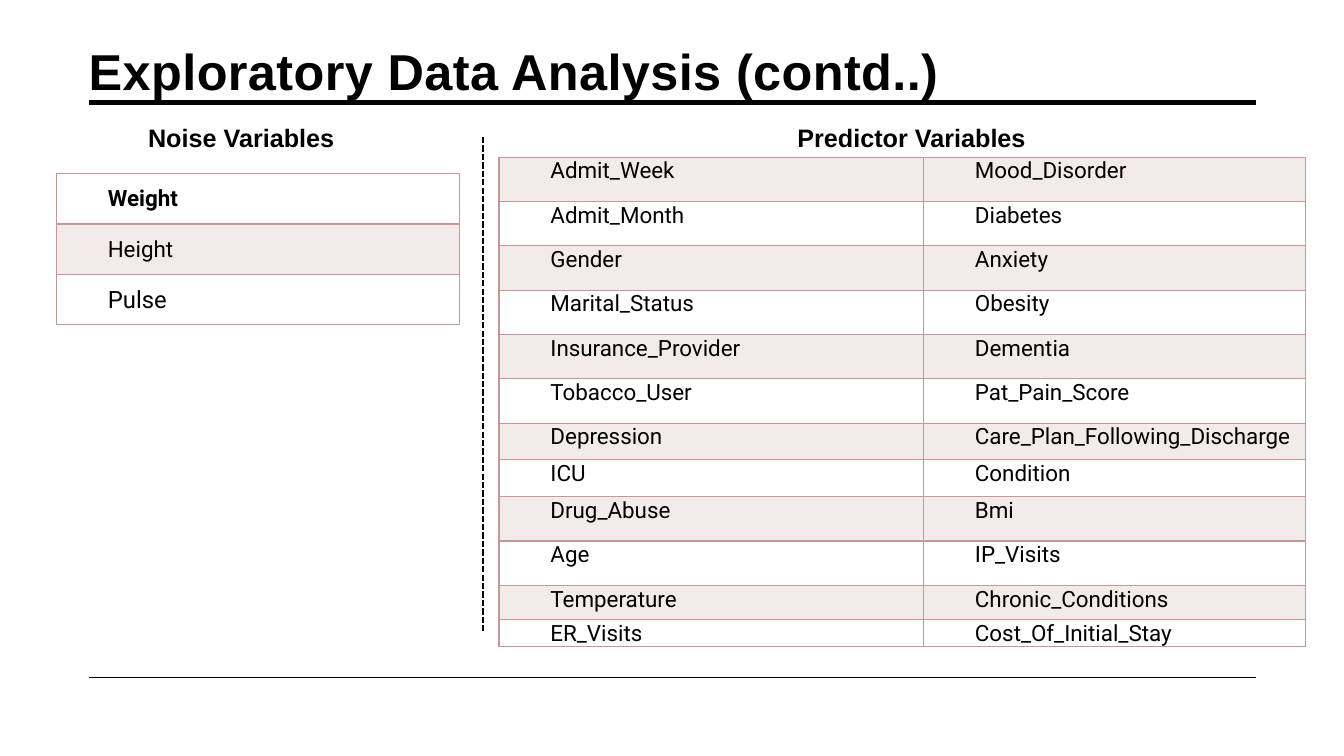
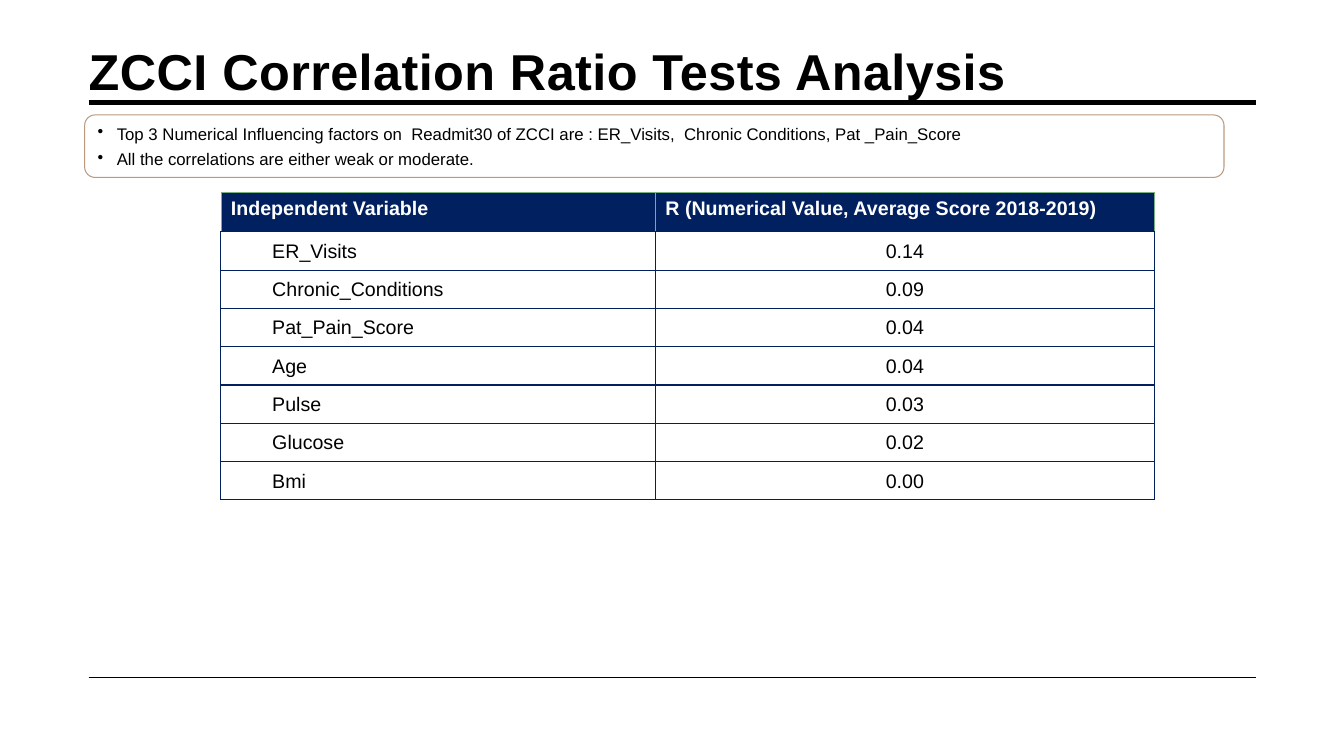
from lxml import etree
from pptx import Presentation
from pptx.dml.color import RGBColor
from pptx.enum.dml import MSO_LINE
from pptx.enum.shapes import MSO_CONNECTOR, MSO_SHAPE
from pptx.enum.text import MSO_ANCHOR, MSO_AUTO_SIZE, PP_ALIGN
from pptx.oxml.ns import qn
from pptx.util import Inches, Pt

STRAIGHT = MSO_CONNECTOR.STRAIGHT
ROUNDED = MSO_SHAPE.ROUNDED_RECTANGLE
DASH = MSO_LINE.SQUARE_DOT
TOP, MIDDLE, BOTTOM = MSO_ANCHOR.TOP, MSO_ANCHOR.MIDDLE, MSO_ANCHOR.BOTTOM
LEFT, CENTER = PP_ALIGN.LEFT, PP_ALIGN.CENTER
NO_FIT = MSO_AUTO_SIZE.NONE
TITLE_ONLY = 5

COLORS = {
    "ink": "000000",
    "white": "FFFFFF",
    "rose": "C69796",
    "navy": "002060",
    "green": "78B07E",
    "sand": "BA997F",
}
RULE_LEFT, RULE_RIGHT = 0.88, 12.46

NOISE = ["Weight", "Height", "Pulse"]
PREDICTORS = [
    ("Admit_Week", "Mood_Disorder"),
    ("Admit_Month", "Diabetes"),
    ("Gender", "Anxiety"),
    ("Marital_Status", "Obesity"),
    ("Insurance_Provider", "Dementia"),
    ("Tobacco_User", "Pat_Pain_Score"),
    ("Depression", "Care_Plan_Following_Discharge"),
    ("ICU", "Condition"),
    ("Drug_Abuse", "Bmi"),
    ("Age", "IP_Visits"),
    ("Temperature", "Chronic_Conditions"),
    ("ER_Visits", "Cost_Of_Initial_Stay"),
]
PREDICTOR_HEIGHTS = [0.44] * 6 + [0.36, 0.37, 0.44, 0.44, 0.34, 0.27]
CORRELATIONS = [
    ("Independent Variable", "R (Numerical Value, Average Score 2018-2019)"),
    ("ER_Visits", "0.14"),
    ("Chronic_Conditions", "0.09"),
    ("Pat_Pain_Score", "0.04"),
    ("Age", "0.04"),
    ("Pulse", "0.03"),
    ("Glucose", "0.02"),
    ("Bmi", "0.00"),
]
FINDINGS = [
    "Top 3 Numerical Influencing factors on  Readmit30 of ZCCI are : "
    "ER_Visits,  Chronic Conditions, Pat _Pain_Score",
    "All the correlations are either weak or moderate.",
]


def rgb(color):
    return RGBColor.from_string(COLORS[color])


class Deck:
    def __init__(self):
        self.prs = Presentation()
        self.prs.slide_width, self.prs.slide_height = Inches(13.33), Inches(7.5)
        self.slide = None

    def new_slide(self, title, title_width):
        self.slide = self.prs.slides.add_slide(self.prs.slide_layouts[TITLE_ONLY])
        self.line((RULE_LEFT, 1.02), (RULE_RIGHT, 1.02), 3.5)
        self.line((RULE_LEFT, 6.72), (RULE_RIGHT, 6.72), 1)
        heading = self.slide.shapes.title
        heading.left, heading.top = Inches(0.78), Inches(0.31)
        heading.width, heading.height = Inches(title_width), Inches(0.69)
        frame = heading.text_frame
        frame.text = title
        frame.auto_size = NO_FIT
        frame.vertical_anchor = BOTTOM
        frame.margin_bottom = 0
        self.style(frame.paragraphs[0], 36, bold=True)
        frame.paragraphs[0].runs[0].font._element.set("spc", "30")

    def style(self, paragraph, size, font="Arial", color="ink", bold=False, align=LEFT):
        paragraph.alignment = align
        for run in paragraph.runs:
            run.font.size, run.font.name, run.font.bold = Pt(size), font, bold
            run.font.color.rgb = rgb(color)

    def line(self, start, end, width, dash=None):
        rule = self.slide.shapes.add_connector(
            STRAIGHT, *[Inches(value) for value in (*start, *end)])
        rule.line.color.rgb = rgb("ink")
        rule.line.width = Pt(width)
        if dash is not None:
            rule.line.dash_style = dash
        etree.SubElement(rule._element.spPr, qn("a:effectLst"))

    def label(self, text, left, top):
        box = self.slide.shapes.add_textbox(
            Inches(left), Inches(top), Inches(2.97), Inches(0.4))
        box.text_frame.word_wrap = True
        box.text_frame.text = text
        self.style(box.text_frame.paragraphs[0], 18, bold=True)

    def bullet_box(self, items, left, top, width, height):
        box = self.slide.shapes.add_shape(
            ROUNDED, Inches(left), Inches(top), Inches(width), Inches(height))
        box.shadow.inherit = False
        box.fill.background()
        box.line.color.rgb = rgb("sand")
        box.line.width = Pt(0.75)
        frame = box.text_frame
        frame.word_wrap = True
        frame.text = "\n".join(items)
        for paragraph in frame.paragraphs:
            self.style(paragraph, 12)
            paragraph.space_before = Pt(4)
            properties = paragraph._p.get_or_add_pPr()
            properties.set("marL", str(Inches(0.19)))
            properties.set("indent", str(-Inches(0.19)))
            etree.SubElement(properties, qn("a:buChar")).set("char", "•")

    def table(self, rows, left, top, widths, heights):
        table = self.slide.shapes.add_table(
            len(rows), len(widths), Inches(left), Inches(top),
            Inches(sum(widths)), Inches(sum(heights))).table
        table.first_row = table.horz_banding = False
        for column, width in zip(table.columns, widths):
            column.width = Inches(width)
        for row, height in zip(table.rows, heights):
            row.height = Inches(height)
        for row, texts in zip(table.rows, rows):
            for cell, text in zip(row.cells, texts):
                cell.text = text
        return table

    def borders(self, cell, color, width=1, bottom=None):
        edges = dict.fromkeys(("a:lnL", "a:lnR", "a:lnT", "a:lnB"), (color, width))
        if bottom:
            edges["a:lnB"] = bottom
        for tag, (edge_color, edge_width) in edges.items():
            edge = etree.SubElement(cell._tc.get_or_add_tcPr(), qn(tag))
            edge.set("w", str(Pt(edge_width)))
            fill = etree.SubElement(edge, qn("a:solidFill"))
            etree.SubElement(fill, qn("a:srgbClr")).set("val", COLORS[edge_color])

    def cell(self, cell, size, font="Arial", bold=False, align=LEFT, anchor=MIDDLE,
             indent=0.5):
        cell.margin_left = Inches(indent + 0.01)
        cell.margin_right = cell.margin_top = Inches(0.01)
        cell.margin_bottom = 0
        cell.vertical_anchor = anchor
        self.style(cell.text_frame.paragraphs[0], size, font, bold=bold, align=align)

    def banded(self, cell, tinted, bottom=None):
        self.borders(cell, "rose", bottom=bottom)
        if not tinted:
            cell.fill.background()
            return
        cell.fill.solid()
        cell.fill.fore_color.rgb = rgb("rose")
        tint = cell._tc.tcPr.find(qn("a:solidFill")).find(qn("a:srgbClr"))
        etree.SubElement(tint, qn("a:alpha")).set("val", "20000")

    def header_cell(self, cell):
        self.style(cell.text_frame.paragraphs[0], 14, color="white", bold=True)
        self.borders(cell, "green", 0.5, bottom=("navy", 1))
        cell.fill.solid()
        cell.fill.fore_color.rgb = rgb("navy")


def variables_slide(deck):
    deck.new_slide("Exploratory Data Analysis (contd..)", 11)
    predictors = deck.table(PREDICTORS, 4.95, 1.56, [4.21, 3.79], PREDICTOR_HEIGHTS)
    for index, row in enumerate(predictors.rows):
        for cell in row.cells:
            deck.cell(cell, 16, "Roboto", anchor=TOP)
            deck.banded(cell, index % 2 == 0)
    noise = deck.table([[name] for name in NOISE], 0.56, 1.72, [4], [0.5] * 3)
    for index, size in enumerate((16, 16, 17)):
        cell = noise.cell(index, 0)
        first = index == 0
        deck.cell(cell, size, "Roboto", bold=first)
        deck.banded(cell, index % 2 == 1, ("rose", 2) if first else None)
    deck.label("Noise Variables", 1.37, 1.16)
    deck.label("Predictor Variables", 7.81, 1.16)
    deck.line((4.79, 1.36), (4.79, 6.28), 1.5, DASH)


def correlation_slide(deck):
    deck.new_slide("ZCCI Correlation Ratio Tests Analysis", 11.85)
    deck.bullet_box(FINDINGS, 0.84, 1.14, 11.3, 0.62)
    ratios = deck.table(CORRELATIONS, 2.19, 1.91, [4.31, 4.95], [0.39] + [0.38] * 7)
    header, *body = ratios.rows
    for cell in header.cells:
        deck.header_cell(cell)
    for row in body:
        variable, ratio = row.cells
        deck.cell(variable, 14)
        deck.cell(ratio, 14, align=CENTER, indent=0)
        for cell in (variable, ratio):
            deck.borders(cell, "navy")
            cell.fill.background()


def main():
    deck = Deck()
    variables_slide(deck)
    correlation_slide(deck)
    deck.prs.save("out.pptx")


if __name__ == "__main__":
    main()
